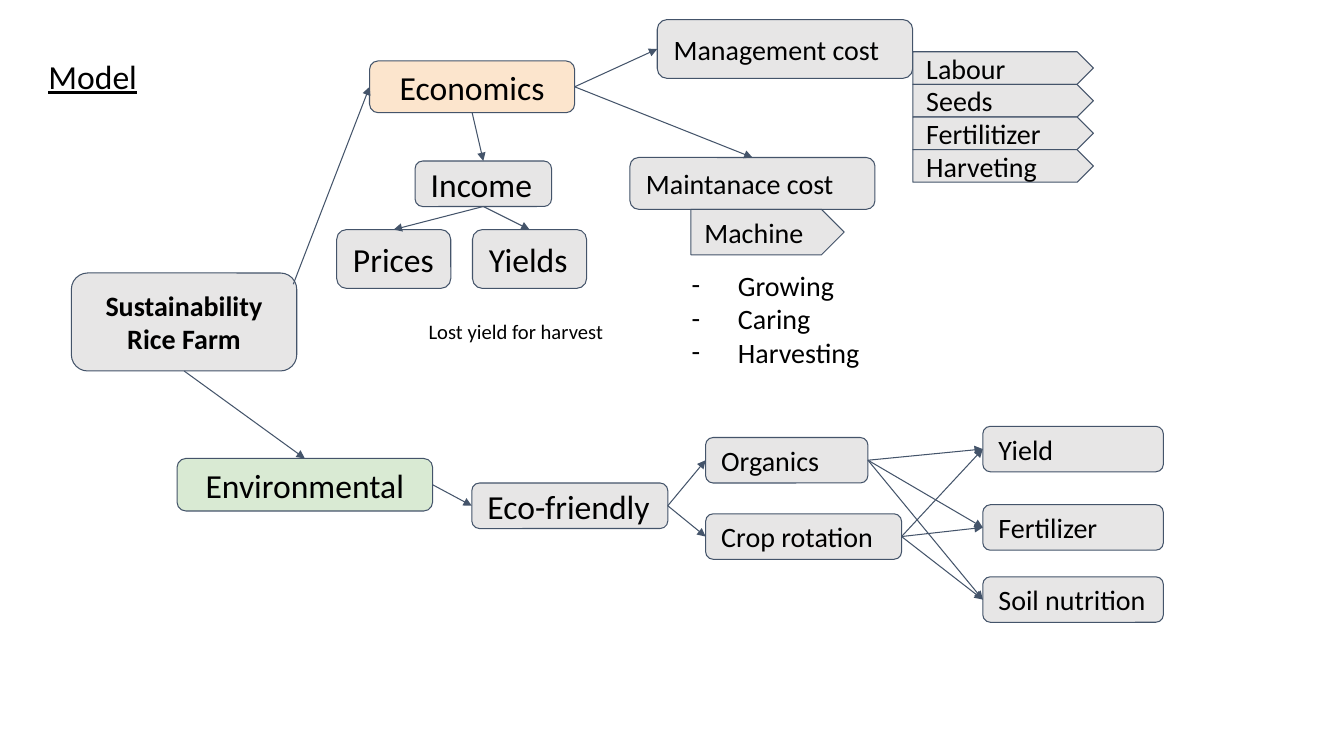
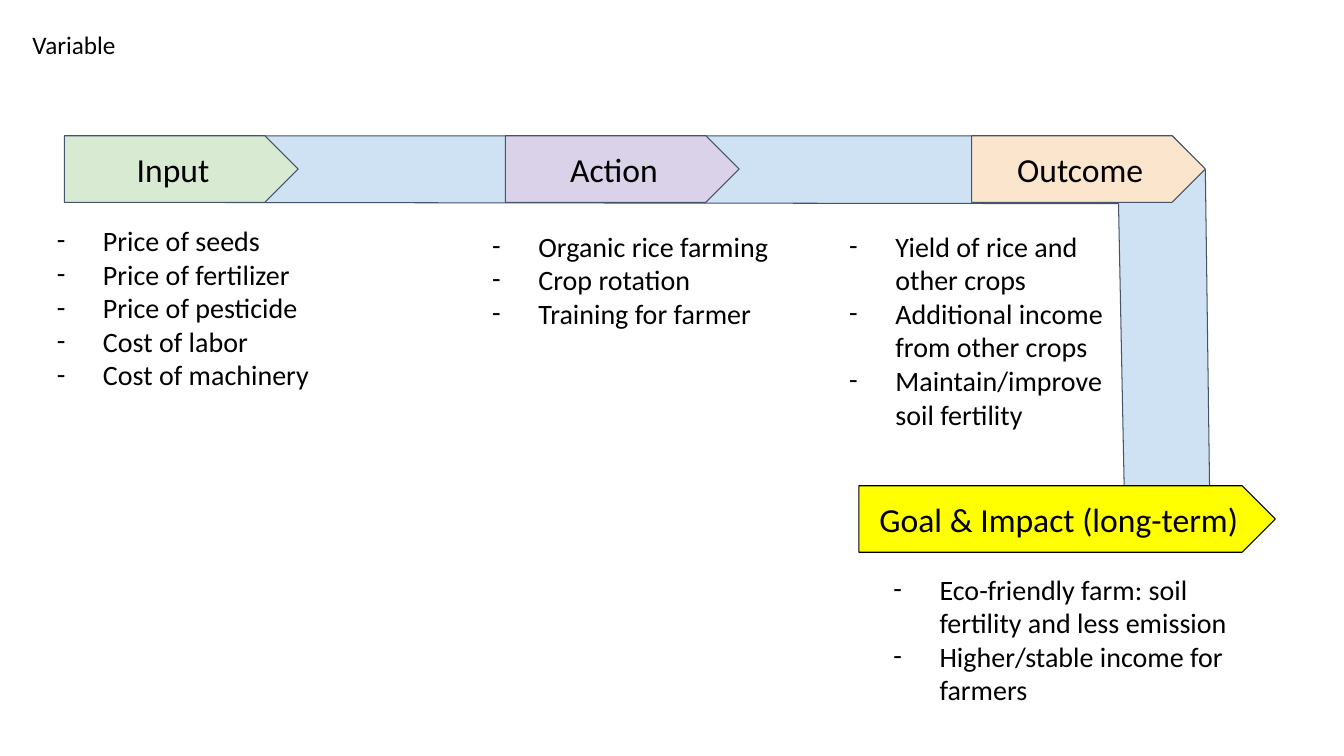
from lxml import etree
from pptx import Presentation
from pptx.dml.color import RGBColor
from pptx.enum.shapes import MSO_CONNECTOR, MSO_SHAPE
from pptx.enum.text import MSO_ANCHOR, MSO_AUTO_SIZE, PP_ALIGN
from pptx.oxml.ns import qn
from pptx.util import Pt

ROUNDED = MSO_SHAPE.ROUNDED_RECTANGLE
PENTAGON = MSO_SHAPE.PENTAGON
STRAIGHT = MSO_CONNECTOR.STRAIGHT
LEFT, CENTER = PP_ALIGN.LEFT, PP_ALIGN.CENTER
TOP_ANCHOR, MIDDLE_ANCHOR = MSO_ANCHOR.TOP, MSO_ANCHOR.MIDDLE
NO_FIT, GROW = MSO_AUTO_SIZE.NONE, MSO_AUTO_SIZE.SHAPE_TO_FIT_TEXT
TOP, LEFT_SIDE, BOTTOM, RIGHT_SIDE = range(4)

FONT = "Calibri"
BLACK, SLATE, GREY = "000000", "44546A", "E7E6E6"
PEACH, GREEN, LILAC = "FCE5CD", "D9EAD3", "D9D2E9"
BLUE, YELLOW = "CFE2F3", "FFFF00"
WIDE_INSETS, NARROW_INSETS = (9.6, 9.6), (7.2, 3.6)
LINE_WIDTH = 0.75
BULLET_MARGIN, BULLET_HANG = 48, 33


def color(hex_value):
    """Turn a hex string into a colour."""
    return RGBColor.from_string(hex_value)


def add_dash(paragraph):
    """Give a paragraph a dash bullet with a hanging indent."""
    properties = paragraph._p.get_or_add_pPr()
    properties.set("marL", str(Pt(BULLET_MARGIN)))
    properties.set("indent", str(-Pt(BULLET_HANG)))
    etree.SubElement(properties, qn("a:buFont")).set("typeface", FONT)
    etree.SubElement(properties, qn("a:buChar")).set("char", "-")


def write_text(shape, *lines, size=20, bold=False, underline=False, align=LEFT,
               anchor=TOP_ANCHOR, insets=WIDE_INSETS, fit=GROW, dashes=False):
    """Write one paragraph per line into a shape and format it."""
    frame = shape.text_frame
    frame.word_wrap = True
    frame.auto_size = fit
    frame.vertical_anchor = anchor
    frame.margin_left = frame.margin_right = Pt(insets[0])
    frame.margin_top = frame.margin_bottom = Pt(insets[1])
    frame.text = "\n".join(lines)
    for paragraph in frame.paragraphs:
        paragraph.alignment = align
        if dashes:
            add_dash(paragraph)
        font = paragraph.runs[0].font
        font.name, font.size, font.bold = FONT, Pt(size), bold
        font.underline = underline
        font.color.rgb = color(BLACK)


def paint(shape, fill, line=SLATE):
    """Set a shape's fill and outline and drop its shadow."""
    shape.shadow.inherit = False
    shape.fill.solid()
    shape.fill.fore_color.rgb = color(fill)
    shape.line.color.rgb = color(line)
    shape.line.width = Pt(LINE_WIDTH)


def add_title(slide, text, box, **text_format):
    """Place and fill the title placeholder."""
    title = slide.shapes.title
    title.left, title.top, title.width, title.height = map(Pt, box)
    write_text(title, text, **text_format)


def add_box(slide, text, box, kind=ROUNDED, fill=GREY, line=SLATE, **text_format):
    """Add a filled shape with a label and return it."""
    shape = slide.shapes.add_shape(kind, *map(Pt, box))
    paint(shape, fill, line)
    write_text(shape, text, anchor=MIDDLE_ANCHOR, fit=NO_FIT, **text_format)
    return shape


def add_text(slide, lines, box, **text_format):
    """Add a text box."""
    write_text(slide.shapes.add_textbox(*map(Pt, box)), *lines, **text_format)


def add_arrow(slide, target, end_side, source=None, start_side=None, start=(0, 0)):
    """Draw an arrow to a shape from another shape or from a free point."""
    x, y = map(Pt, start)
    connector = slide.shapes.add_connector(STRAIGHT, x, y, x, y)
    if source is not None:
        connector.begin_connect(source, start_side)
    connector.end_connect(target, end_side)
    connector.line.color.rgb = color(SLATE)
    connector.line.width = Pt(LINE_WIDTH)
    etree.SubElement(connector.get_or_add_ln(), qn("a:tailEnd")).set("type", "triangle")
    etree.SubElement(connector.element.spPr, qn("a:effectLst"))


def add_outline(slide, points, fill):
    """Add a closed polygon through the given points."""
    corners = [tuple(map(Pt, point)) for point in points]
    builder = slide.shapes.build_freeform(*corners[0])
    builder.add_line_segments(corners[1:], close=True)
    paint(builder.convert_to_shape(), fill)


def add_economics(slide):
    """Build the economics branch and return its root."""
    economics = add_box(slide, "Economics", (264, 43.5, 146.5, 37), fill=PEACH,
                        size=24, align=CENTER)
    management = add_box(slide, "Management cost", (469.5, 14, 182.5, 42))
    maintenance = add_box(slide, "Maintanace cost", (450, 112.5, 175, 37))
    income = add_box(slide, "Income", (296.5, 115, 97.5, 32.5), size=24)
    for row, text in enumerate(("Labour", "Seeds", "Fertilitizer", "Harveting")):
        add_box(slide, text, (652, 37 + row * 23.3, 129, 23.3), kind=PENTAGON)
    add_box(slide, "Machine", (493.5, 149.5, 109.5, 32.5), kind=PENTAGON)
    add_text(slide, ["Growing", "Caring", "Harvesting"], (469.5, 182, 165, 92),
             dashes=True)
    add_text(slide, ["Lost yield for harvest"], (296.5, 219, 197, 37.5), size=14.7)
    add_arrow(slide, income, TOP, economics, BOTTOM)
    add_arrow(slide, management, LEFT_SIDE, economics, RIGHT_SIDE)
    add_arrow(slide, maintenance, TOP, economics, RIGHT_SIDE)
    for text, left in (("Prices", 240.5), ("Yields", 337.5)):
        part = add_box(slide, text, (left, 164, 81.5, 42), size=24)
        add_arrow(slide, part, TOP, income, BOTTOM)
    return economics


def add_environment(slide):
    """Build the environmental branch and return its root."""
    environment = add_box(slide, "Environmental", (126.5, 327.5, 182.5, 37.5),
                          fill=GREEN, size=24, align=CENTER)
    friendly = add_box(slide, "Eco-friendly", (337, 345, 140, 32.5), size=24)
    methods = [add_box(slide, "Organics", (504, 312.5, 116, 32.5)),
               add_box(slide, "Crop rotation", (504, 367, 140, 32.5))]
    effects = [add_box(slide, text, (702, top, 129, 32.5)) for text, top in
               (("Yield", 304.5), ("Fertilizer", 360.5), ("Soil nutrition", 412))]
    add_arrow(slide, friendly, LEFT_SIDE, environment, RIGHT_SIDE)
    for method in methods:
        add_arrow(slide, method, LEFT_SIDE, friendly, RIGHT_SIDE)
        for effect in effects:
            add_arrow(slide, effect, LEFT_SIDE, method, RIGHT_SIDE)
    return environment


def build_model(slide):
    """Build the tree of the farm model."""
    add_title(slide, "Model", (25, 30, 94, 48), size=24, underline=True)
    farm = add_box(slide, "Sustainability Rice Farm", (51, 195, 161, 70),
                   bold=True, align=CENTER)
    add_arrow(slide, add_economics(slide), LEFT_SIDE, start=(209.5, 203))
    add_arrow(slide, add_environment(slide), TOP, farm, BOTTOM)


def build_variables(slide):
    """Build the chain from input to long-term goal."""
    add_title(slide, "Variable", (16, 17.5, 167, 29), size=18, insets=NARROW_INSETS)
    add_outline(slide, [(47.5, 97), (837.5, 97), (861, 121.5), (864, 347),
                        (803, 347), (799, 145.5), (47.5, 144.5)], BLUE)
    stages = (("Input", 46, GREEN), ("Action", 361, LILAC), ("Outcome", 694, PEACH))
    for text, left, fill in stages:
        add_box(slide, text, (left, 97, 167, 47.5), kind=PENTAGON, fill=fill,
                size=24, align=CENTER)
    add_box(slide, "Goal & Impact (long-term)", (613.5, 347, 297.5, 47.5),
            kind=PENTAGON, fill=YELLOW, line=BLACK, size=24, align=CENTER)
    lists = (
        (["Price of seeds", "Price of fertilizer", "Price of pesticide",
          "Cost of labor", "Cost of machinery"], (16, 150, 261, 140.5)),
        (["Organic rice farming", "Crop rotation", "Training for farmer"],
         (327, 154, 261, 92)),
        (["Yield of rice and other crops", "Additional income from other crops",
          "Maintain/improve soil fertility"], (582, 154, 240.5, 165)),
        (["Eco-friendly farm: soil fertility and less emission",
          "Higher/stable income for farmers"], (613.5, 399, 276, 116.5)),
    )
    for lines, box in lists:
        add_text(slide, lines, box, dashes=True)


def main():
    """Build and save the presentation."""
    presentation = Presentation()
    presentation.slide_width, presentation.slide_height = Pt(960), Pt(540)
    title_only = presentation.slide_layouts[5]
    for build in (build_model, build_variables):
        build(presentation.slides.add_slide(title_only))
    presentation.save("out.pptx")


if __name__ == "__main__":
    main()
